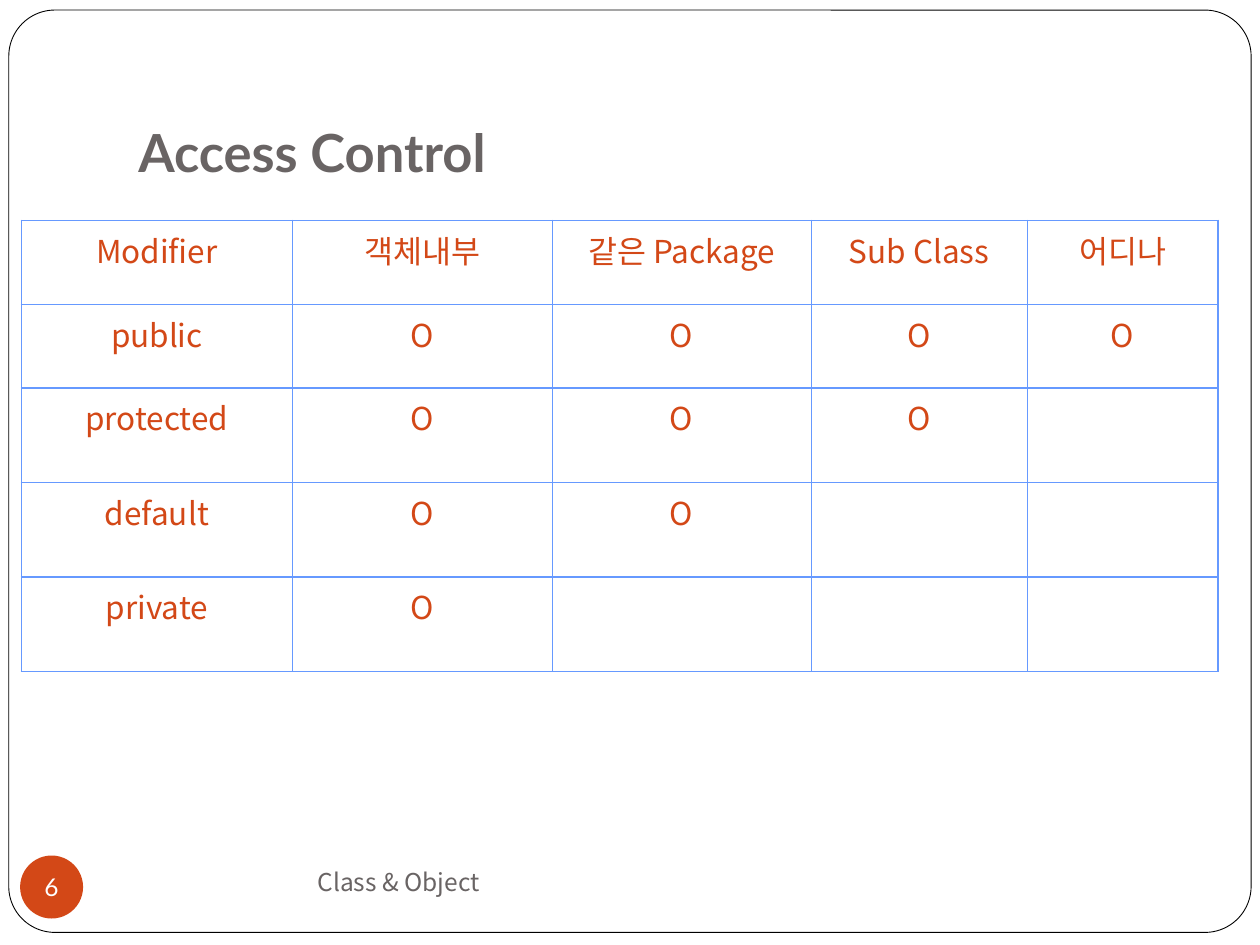
from dataclasses import dataclass

from lxml.etree import SubElement
from pptx import Presentation
from pptx.dml.color import RGBColor
from pptx.enum.shapes import MSO_SHAPE
from pptx.enum.text import MSO_ANCHOR, PP_ALIGN
from pptx.oxml.ns import qn
from pptx.util import Inches, Pt

SANS = "Noto Sans CJK KR"
RED, GRAY, WHITE, BLUE = "D34817", "696464", "FFFFFF", "6699FF"


@dataclass
class Style:
    size: float
    color: str
    font: str = SANS
    bold: bool = False
    align: PP_ALIGN = PP_ALIGN.CENTER
    before: float = 0


TITLE = Style(30, GRAY, "Lato", True, PP_ALIGN.LEFT)
FOOTER = Style(14, GRAY, before=8.8)
NUMBER = Style(14, WHITE, "Lato", before=8.8)
CELL = Style(18, RED, before=4.5)

HEADER = ["Modifier", "객체내부", "같은 Package", "Sub Class", "어디나"]
SCOPES = {"public": 4, "protected": 3, "default": 2, "private": 1}
WIDTHS = [2.15, 2.06, 2.06, 1.71, 1.52]
HEIGHTS = [0.67, 0.66, 0.75, 0.75, 0.75]


def rgb(code: str) -> RGBColor:
    return RGBColor.from_string(code)


def write(frame, text: str, style: Style) -> None:
    para = frame.paragraphs[0]
    para.text = text
    para.alignment = style.align
    para.space_before = Pt(style.before)
    font = para.font
    font.size, font.bold, font.name = Pt(style.size), style.bold, style.font
    font.color.rgb = rgb(style.color)
    props = para._p.pPr.find(qn("a:defRPr"))
    SubElement(props, qn("a:ea")).set("typeface", style.font)


def add_label(slide, box: tuple, text: str, style: Style,
              anchor: MSO_ANCHOR, bottom: float = 0.05) -> None:
    frame = slide.shapes.add_textbox(*map(Inches, box)).text_frame
    frame.word_wrap = True
    frame.vertical_anchor = anchor
    frame.margin_bottom = Inches(bottom)
    write(frame, text, style)


def add_shape(slide, kind: MSO_SHAPE, box: tuple, fill: str):
    shape = slide.shapes.add_shape(kind, *map(Inches, box))
    shape.shadow.inherit = False
    shape.fill.solid()
    shape.fill.fore_color.rgb = rgb(fill)
    shape.line.fill.background()
    return shape


def add_borders(cell, widths: dict[str, float]) -> None:
    """Draw the cell's edges; keys are L, R, T and B, in that order."""
    props = cell._tc.get_or_add_tcPr()
    for side, width in widths.items():
        line = SubElement(props, qn(f"a:ln{side}"), w=str(Pt(width)))
        fill = SubElement(line, qn("a:solidFill"))
        SubElement(fill, qn("a:srgbClr"), val=BLUE)


def add_grid(slide, left: float, top: float) -> None:
    rows = [HEADER] + [
        [name] + ["O"] * count + [""] * (4 - count)
        for name, count in SCOPES.items()
    ]
    table = slide.shapes.add_table(
        len(rows), len(HEADER), Inches(left), Inches(top),
        Inches(sum(WIDTHS)), Inches(sum(HEIGHTS))).table
    table.first_row = table.horz_banding = False
    for col, width in zip(table.columns, WIDTHS):
        col.width = Inches(width)
    for row, height in zip(table.rows, HEIGHTS):
        row.height = Inches(height)

    outer, across, down = 1.08, 0.75, 0.45
    last_row, last_col = len(rows) - 1, len(HEADER) - 1
    for y, texts in enumerate(rows):
        for x, text in enumerate(texts):
            cell = table.cell(y, x)
            add_borders(cell, {
                "L": outer if x == 0 else down,
                "R": outer if x == last_col else down,
                "T": outer if y == 0 else across,
                "B": outer if y == last_row else across,
            })
            cell.fill.background()
            write(cell.text_frame, text, CELL)


def main() -> None:
    deck = Presentation()
    deck.slide_width, deck.slide_height = Inches(10), Inches(7.5)
    slide = deck.slides.add_slide(deck.slide_layouts[6])

    frame = add_shape(slide, MSO_SHAPE.ROUNDED_RECTANGLE,
                      (0.07, 0.08, 9.86, 7.32), WHITE)
    frame.adjustments[0] = 0.05
    frame.line.color.rgb = rgb("000000")
    frame.line.width = Pt(0.5)

    add_label(slide, (1, 0.3, 8.5, 1.25), "Access Control", TITLE,
              MSO_ANCHOR.BOTTOM, 0.1)
    add_label(slide, (1, 6.75, 4.33, 0.5), "Class & Object", FOOTER,
              MSO_ANCHOR.MIDDLE)

    badge = add_shape(slide, MSO_SHAPE.OVAL, (0.16, 6.79, 0.5, 0.5), RED)
    text = badge.text_frame
    text.margin_left = text.margin_right = 0
    text.margin_top = text.margin_bottom = 0
    text.word_wrap = False
    text.vertical_anchor = MSO_ANCHOR.MIDDLE
    write(text, "6", NUMBER)

    add_grid(slide, 0.17, 1.75)
    deck.save("out.pptx")


if __name__ == "__main__":
    main()
